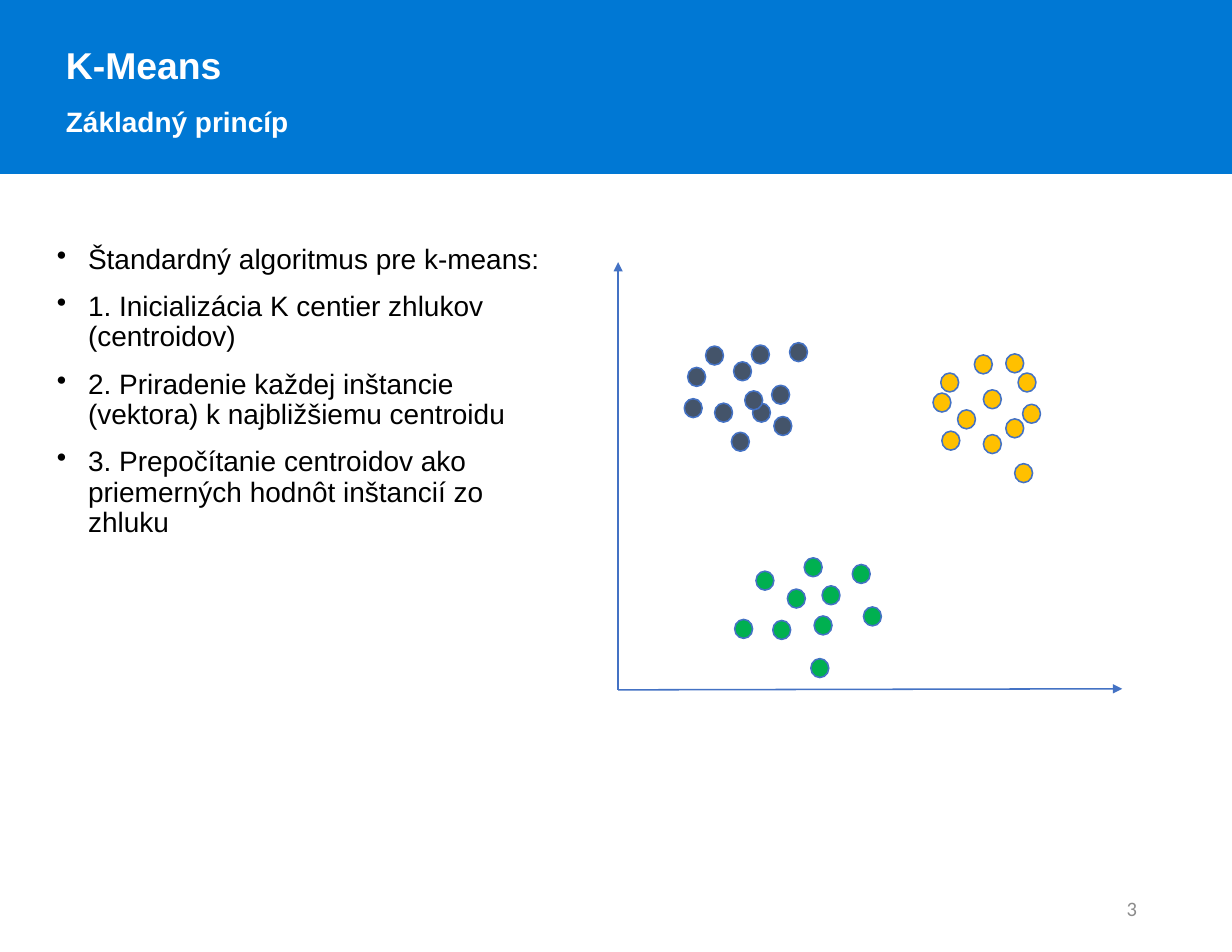
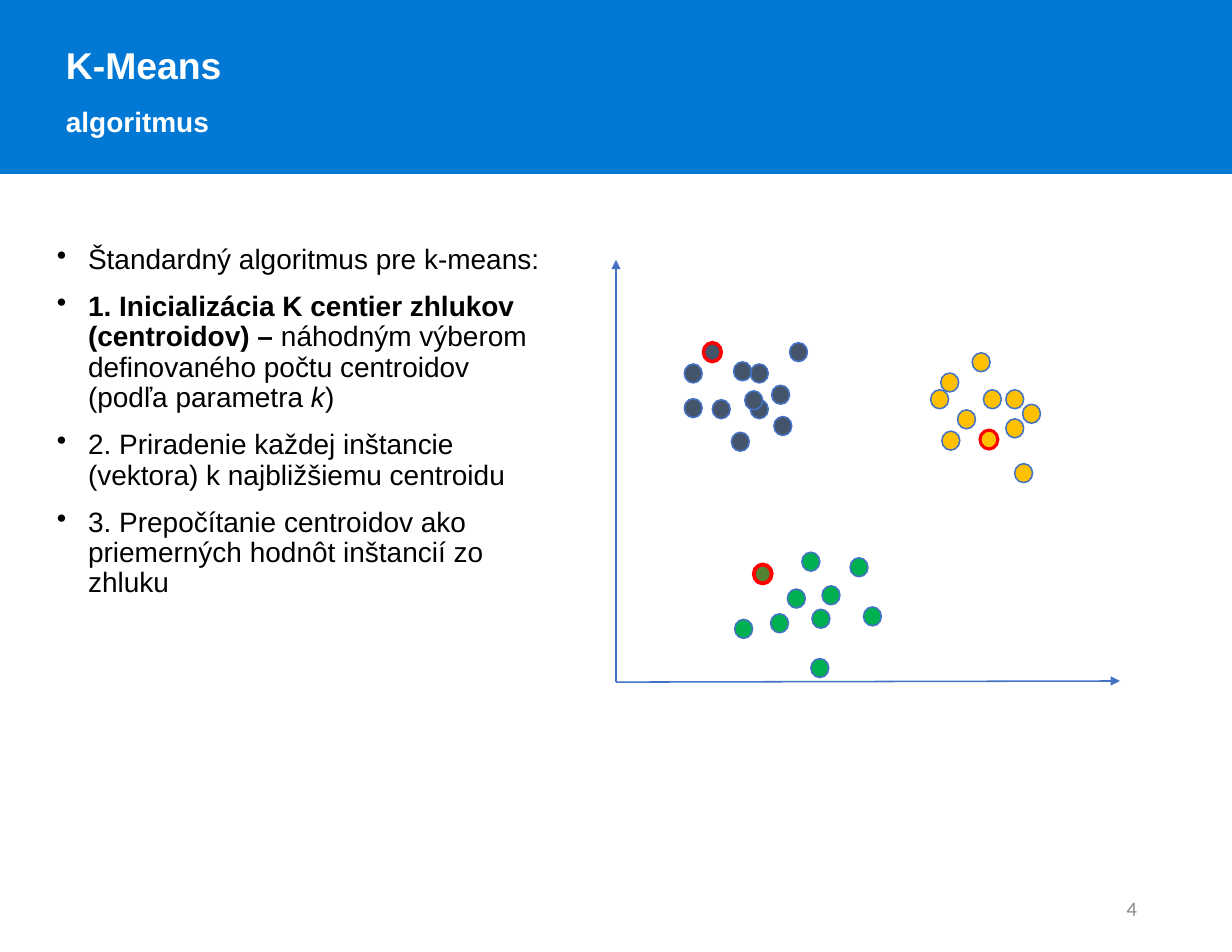
import lxml.etree
import pptx
import pptx.dml.color
import pptx.enum.shapes
import pptx.enum.text
import pptx.oxml.ns
import pptx.util

Pt = pptx.util.Pt
RGBColor = pptx.dml.color.RGBColor
qn = pptx.oxml.ns.qn

BLUE = RGBColor(0x00, 0x78, 0xD4)
WHITE = RGBColor(0xFF, 0xFF, 0xFF)
BLACK = RGBColor(0x00, 0x00, 0x00)
GRAY = RGBColor(0x8C, 0x8C, 0x8C)
OUTLINE = RGBColor(0x44, 0x72, 0xC4)
RED = RGBColor(0xFF, 0x00, 0x00)
SLATE = RGBColor(0x44, 0x54, 0x6A)
AMBER = RGBColor(0xFF, 0xC0, 0x00)
GREEN = RGBColor(0x00, 0xB0, 0x50)
OLIVE = RGBColor(0x54, 0x82, 0x35)

# Boxes: left, top, width, height in points
SLIDE_W, SLIDE_H = 792, 612
BAND = (0, 0, SLIDE_W, 111.6)
BODY = (29.5, 154.1, 330.5, 413.3)
PLOT = (396, 167, 326, 277)
NUMBER = (559.4, 567.4, 178.6, 32.4)
DOT_W, DOT_H = 11.5, 12.2

STEPS = [
    "Štandardný algoritmus pre k-means:",
    "1. Inicializácia K centier zhlukov (centroidov)",
    "2. Priradenie každej inštancie (vektora) k najbližšiemu centroidu",
    "3. Prepočítanie centroidov ako priemerných hodnôt inštancií zo zhluku",
]
# Runs of the highlighted first step: text, bold, italic
INIT_STEP = [
    ("1. Inicializácia K centier zhlukov (centroidov) – ", True, False),
    ("náhodným výberom definovaného počtu centroidov (podľa parametra ", False, False),
    ("k", False, True),
    (")", False, False),
]

# Dot positions are offsets from the corner of the plot box
COMMON_DOTS = {
    GREEN: [(110.2, 211.7), (159.1, 223.2), (125.3, 256.4), (76.3, 231.2),
            (132.5, 209.6)],
    AMBER: [(236.2, 83.6), (250.6, 102.3), (209.5, 110.2), (208.8, 72.8),
            (219.6, 96.5), (256.3, 131.1), (261.4, 92.9)],
    SLATE: [(100.1, 80.7), (82.8, 84.3), (75.6, 65.6), (101.5, 100.8),
            (111.6, 53.3), (43.9, 89.3), (74.2, 110.9)],
}
PRINCIPLE_DOTS = {
    SLATE: [(46.1, 69.2), (57.6, 55.5), (87.1, 54.8), (63.4, 92.2), (87.8, 92.2)],
    AMBER: [(203.8, 85.7), (230.4, 61.2), (258.5, 72.8), (236.2, 112.4),
            (250.6, 60.5)],
    GREEN: [(90, 200.2), (100.8, 231.9), (121, 191.6), (151.9, 195.9), (127.4, 229)],
}
ALGORITHM_DOTS = {
    SLATE: [(43.9, 67), (86.4, 67), (61.9, 90), (86.4, 90)],
    AMBER: [(202.3, 83.6), (229, 59.8), (250.6, 83.6)],
    GREEN: [(99.4, 227.6), (119.5, 188), (150.5, 191.6), (126, 224.7)],
}
# Chosen centroids: fill, position, line width
CENTROIDS = [(SLATE, (56.2, 53.3), 2.25), (AMBER, (234, 109.5), 2),
             (OLIVE, (88.6, 195.9), 2.5)]
# Axis points: top of the y axis, origin, end of the x axis
PRINCIPLE_AXES = ((1.4, 1.5), (1.4, 276.5), (325.4, 275.8))
ALGORITHM_AXES = ((0, 0), (0, 271.5), (324, 270.8))


def add_shape(slide, kind, box, fill, line, width=1):
    sp = slide.shapes.add_shape(kind, *map(Pt, box))
    sp.shadow.inherit = False
    sp.fill.solid()
    sp.fill.fore_color.rgb = fill
    sp.line.color.rgb = line
    sp.line.width = Pt(width)
    return sp


def add_text_box(slide, box):
    tf = slide.shapes.add_textbox(*map(Pt, box)).text_frame
    tf.word_wrap = True
    return tf


def add_paragraph(tf, runs, size, color, name="Arial", bold=None):
    """Fill the empty first paragraph, or append one; runs are (text, bold, italic)."""
    p = tf.paragraphs[0]
    if p.runs:
        p = tf.add_paragraph()
    p.font.size = Pt(size)
    p.font.name = name
    p.font.bold = bold
    p.font.color.rgb = color
    for text, run_bold, run_italic in runs:
        r = p.add_run()
        r.text = text
        r.font.bold = run_bold
        r.font.italic = run_italic
    return p


def plain(text):
    return [(text, None, None)]


def add_band(slide, box, subtitle):
    left, top, width, _ = box
    add_shape(slide, pptx.enum.shapes.MSO_SHAPE.RECTANGLE, box, BLUE, BLUE)
    tf = add_text_box(slide, (left + 35.3, top + 9.4, width - 59, 79.9))
    tf.auto_size = pptx.enum.text.MSO_AUTO_SIZE.SHAPE_TO_FIT_TEXT
    for text, size in (("K-Means", 24), (subtitle, 18)):
        p = add_paragraph(tf, plain(text), size, WHITE, bold=True)
        p.line_spacing = 1.5


def add_steps(slide, box, steps):
    tf = add_text_box(slide, box)
    for runs in steps:
        p = add_paragraph(tf, runs, 18, BLACK)
        p.line_spacing = 0.9
        p.space_before = Pt(11)
        # Bullet with hanging indent
        pPr = p._p.get_or_add_pPr()
        pPr.set("marL", str(Pt(20)))
        pPr.set("indent", str(-Pt(20)))
        bullet = lxml.etree.Element(qn("a:buChar"), char="•")
        pPr.find(qn("a:defRPr")).addprevious(bullet)


def add_axis(slide, start, end):
    cxn = slide.shapes.add_connector(
        pptx.enum.shapes.MSO_CONNECTOR.STRAIGHT, *map(Pt, start + end))
    cxn.line.color.rgb = OUTLINE
    cxn.line.width = Pt(1)
    lxml.etree.SubElement(cxn.line._get_or_add_ln(), qn("a:tailEnd"), type="triangle")
    lxml.etree.SubElement(cxn._element.spPr, qn("a:effectLst"))


def add_plot(slide, box, axes, dots, centroids=()):
    left, top = box[:2]

    def add_dot(fill, pos, line=OUTLINE, width=1):
        dot = (left + pos[0], top + pos[1], DOT_W, DOT_H)
        add_shape(slide, pptx.enum.shapes.MSO_SHAPE.OVAL, dot, fill, line, width)

    y_end, origin, x_end = [(left + x, top + y) for x, y in axes]
    add_axis(slide, origin, y_end)
    add_axis(slide, origin, x_end)
    for fill, pos, width in centroids:
        add_dot(fill, pos, RED, width)
    for group in (dots, COMMON_DOTS):
        for fill, positions in group.items():
            for pos in positions:
                add_dot(fill, pos)


def add_number(slide, box, number):
    tf = add_text_box(slide, box)
    tf.vertical_anchor = pptx.enum.text.MSO_ANCHOR.MIDDLE
    p = add_paragraph(tf, plain(str(number)), 13.2, GRAY, name="Calibri")
    p.alignment = pptx.enum.text.PP_ALIGN.RIGHT


def add_cluster_slide(prs, number, subtitle, steps, axes, dots, centroids=()):
    slide = prs.slides.add_slide(prs.slide_layouts[6])
    add_band(slide, BAND, subtitle)
    add_number(slide, NUMBER, number)
    add_steps(slide, BODY, steps)
    add_plot(slide, PLOT, axes, dots, centroids)


def main():
    prs = pptx.Presentation()
    prs.slide_width, prs.slide_height = Pt(SLIDE_W), Pt(SLIDE_H)
    steps = [plain(text) for text in STEPS]
    add_cluster_slide(prs, 3, "Základný princíp", steps,
                      PRINCIPLE_AXES, PRINCIPLE_DOTS)
    add_cluster_slide(prs, 4, "algoritmus", [steps[0], INIT_STEP, *steps[2:]],
                      ALGORITHM_AXES, ALGORITHM_DOTS, CENTROIDS)
    prs.save("out.pptx")


if __name__ == "__main__":
    main()
